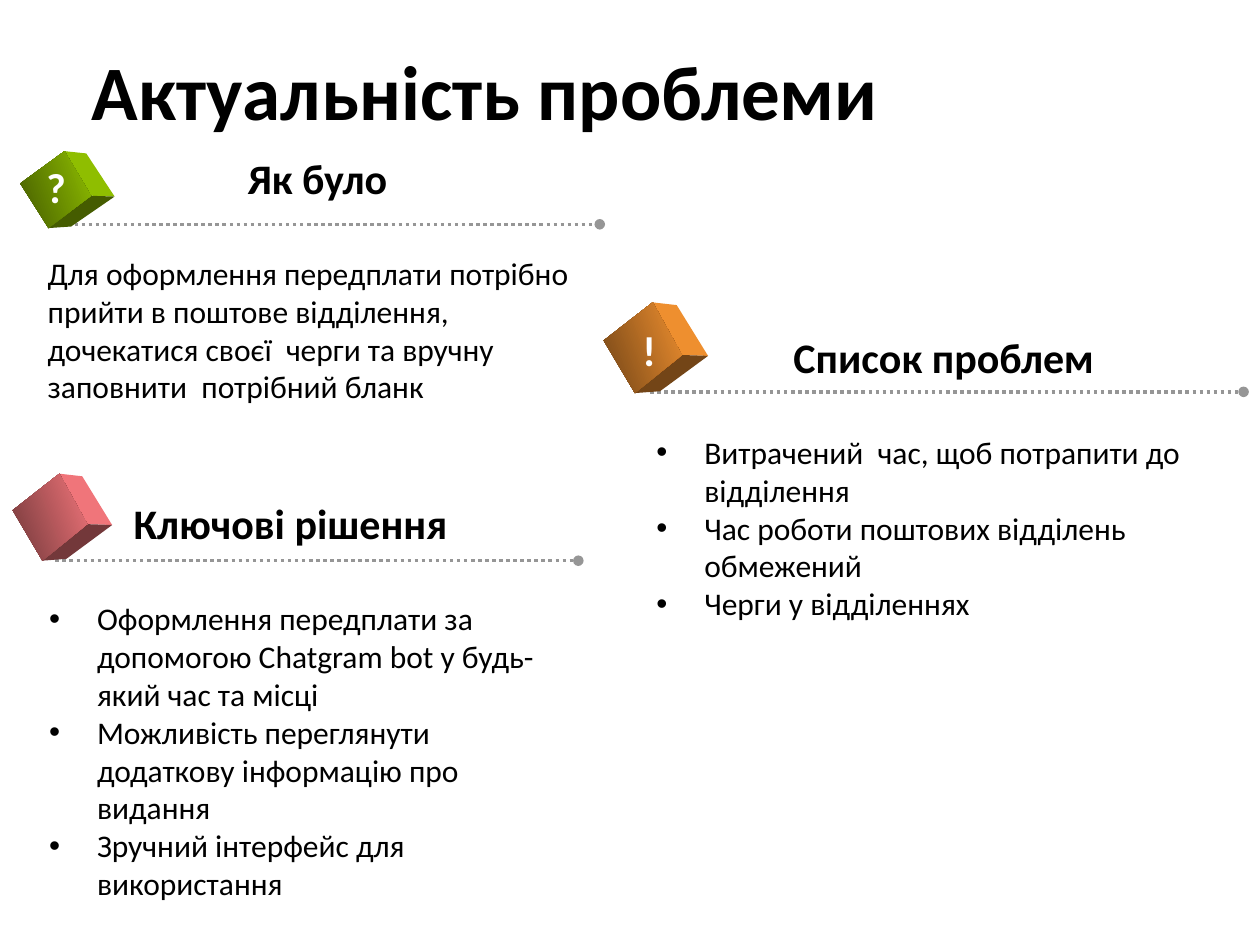
from lxml import etree
from pptx import Presentation
from pptx.dml.color import RGBColor
from pptx.enum.dml import MSO_LINE
from pptx.enum.shapes import MSO_CONNECTOR
from pptx.enum.text import MSO_ANCHOR, MSO_AUTO_SIZE, PP_ALIGN
from pptx.oxml.ns import qn
from pptx.util import Inches, Pt

FONT = "Calibri"
COLORS = {
    "text": "000000", "mark": "FFFFFF", "rule": "969696",
    "green": "8FBE00", "green_dark": "455C00",
    "orange": "EE8F2F", "orange_dark": "734517",
    "pink": "F0757A", "pink_dark": "73383A",
}
# Corners of the cube faces as fractions of the cube's box
FRONT = [(0, 0.42), (0.47, 0), (0.75, 0.58), (0.3, 1)]
SIDE = [(0.47, 0), (0.7, 0.03), (1, 0.59), (0.75, 0.58)]
BOTTOM = [(0.3, 1), (0.75, 0.58), (1, 0.59), (0.54, 0.98)]


def color(name):
    return RGBColor.from_string(COLORS[name])


def place(shape, box):
    shape.left, shape.top, shape.width, shape.height = map(Inches, box)


def add_span(para, text, size, bold=False, tone="text"):
    span = para.add_run()
    span.text = text
    span.font.name = FONT
    span.font.size = Pt(size)
    span.font.bold = bold
    span.font.color.rgb = color(tone)


def set_bullet(para, char=None, left=0, hanging=0):
    """Set the paragraph's indents and its bullet, or no bullet."""
    props = para._p.get_or_add_pPr()
    props.set("marL", str(Inches(left)))
    props.set("indent", str(-Inches(hanging)))
    if char:
        font = etree.SubElement(props, qn("a:buFont"))
        font.set("typeface", "Arial")
        etree.SubElement(props, qn("a:buChar")).set("char", char)
    else:
        etree.SubElement(props, qn("a:buNone"))


def add_title(page, box, text):
    title = page.shapes.title
    place(title, box)
    frame = title.text_frame
    frame.vertical_anchor = MSO_ANCHOR.MIDDLE
    para = frame.paragraphs[0]
    para.alignment = PP_ALIGN.LEFT
    para.line_spacing = 0.9
    add_span(para, text, 44, bold=True)


def add_rule(page, left, right, top):
    rule = page.shapes.add_connector(
        MSO_CONNECTOR.STRAIGHT, Inches(left), Inches(top), Inches(right), Inches(top))
    rule.line.color.rgb = color("rule")
    rule.line.width = Pt(2)
    rule.line.dash_style = MSO_LINE.ROUND_DOT
    etree.SubElement(rule.line._get_or_add_ln(), qn("a:tailEnd")).set("type", "oval")
    etree.SubElement(rule._element.spPr, qn("a:effectLst"))


def add_face(page, box, corners):
    left, top, width, height = box
    points = [(Inches(left + x * width), Inches(top + y * height)) for x, y in corners]
    builder = page.shapes.build_freeform(*points[0])
    builder.add_line_segments(points[1:], close=True)
    face = builder.convert_to_shape()
    face.shadow.inherit = False
    face.line.fill.background()
    return face


def add_cube(page, box, tone):
    dark = tone + "_dark"
    for corners, name in ((SIDE, tone), (BOTTOM, dark)):
        face = add_face(page, box, corners)
        face.fill.solid()
        face.fill.fore_color.rgb = color(name)
    fill = add_face(page, box, FRONT).fill
    fill.gradient()
    fill.gradient_angle = 20
    for stop, name in zip(fill.gradient_stops, (dark, tone)):
        stop.color.rgb = color(name)


def add_mark(page, left, top, text):
    mark = page.shapes.add_textbox(Inches(left), Inches(top), Inches(0.4), Inches(0.5))
    add_span(mark.text_frame.paragraphs[0], text, 24, bold=True, tone="mark")


def fill_text(holder, box, heading, lines, bulleted, indent):
    """Write a heading and its lines; an indent replaces centring of the heading."""
    place(holder, box)
    frame = holder.text_frame
    frame.word_wrap = True
    frame.auto_size = MSO_AUTO_SIZE.NONE
    frame.vertical_anchor = MSO_ANCHOR.TOP
    para = frame.paragraphs[0]
    para.alignment = PP_ALIGN.LEFT if indent else PP_ALIGN.CENTER
    para.space_before = Pt(0)
    para.space_after = Pt(29.3)
    set_bullet(para, left=indent)
    add_span(para, heading, 24, bold=True)
    for line in lines:
        para = frame.add_paragraph()
        para.space_before = Pt(0)
        if bulleted:
            set_bullet(para, "•", 0.38, 0.38)
        add_span(para, line, 18)


def add_section(page, box, holder, heading, lines, tone, cube, rule,
                mark=None, bulleted=True, indent=0):
    """Place a section; cube, rule and mark are offsets from the box's corner."""
    left, top, width, _ = box
    add_rule(page, left + rule[0], left + width, top + rule[1])
    add_cube(page, (left + cube[0], top + cube[1], cube[2], cube[3]), tone)
    fill_text(holder, box, heading, lines, bulleted, indent)
    if mark:
        text, x, y = mark
        add_mark(page, left + x, top + y, text)


def main():
    deck = Presentation()
    deck.slide_width, deck.slide_height = Inches(10), Inches(7.5)
    page = deck.slides.add_slide(deck.slide_layouts.get_by_name("Two Content"))
    solutions, problems = page.placeholders[1], page.placeholders[2]
    before = page.shapes.add_textbox(0, 0, 0, 0)

    add_title(page, (0.63, 0.14, 8.68, 1.24), "Актуальність проблеми")
    add_section(
        page, (0.29, 3.9, 4.3, 3.5), solutions, "Ключові рішення",
        ["Оформлення передплати за допомогою Chatgram bot у будь-який час та місці",
         "Можливість переглянути додаткову інформацію про видання",
         "Зручний інтерфейс для використання"],
        "pink", cube=(-0.19, -0.14, 0.79, 0.69), rule=(0.15, 0.55), indent=0.67)
    add_section(
        page, (0.28, 1.16, 4.48, 2.2), before, "Як було",
        ["Для оформлення передплати потрібно прийти в поштове відділення, "
         "дочекатися своєї  черги та вручну заповнити  потрібний бланк"],
        "green", cube=(-0.12, 0.04, 0.75, 0.61), rule=(0.2, 0.62),
        mark=("?", -0.01, 0.07), bulleted=False)
    add_section(
        page, (5.11, 2.58, 4.76, 2.83), problems, "Список проблем",
        ["Витрачений  час, щоб потрапити до відділення",
         "Час роботи поштових відділень обмежений",
         "Черги у відділеннях"],
        "orange", cube=(-0.32, -0.18, 0.83, 0.72), rule=(0.05, 0.53),
        mark=("!", -0.11, -0.05))
    deck.save("out.pptx")


if __name__ == "__main__":
    main()
